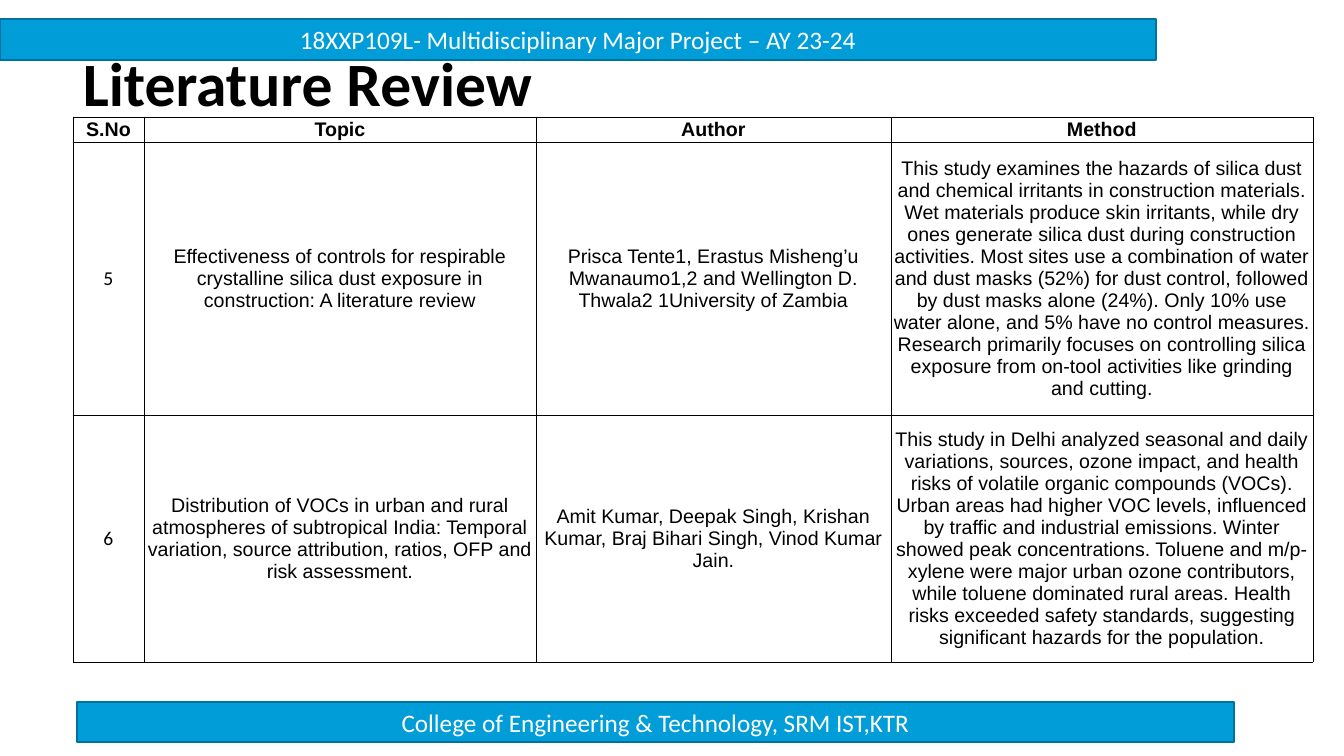
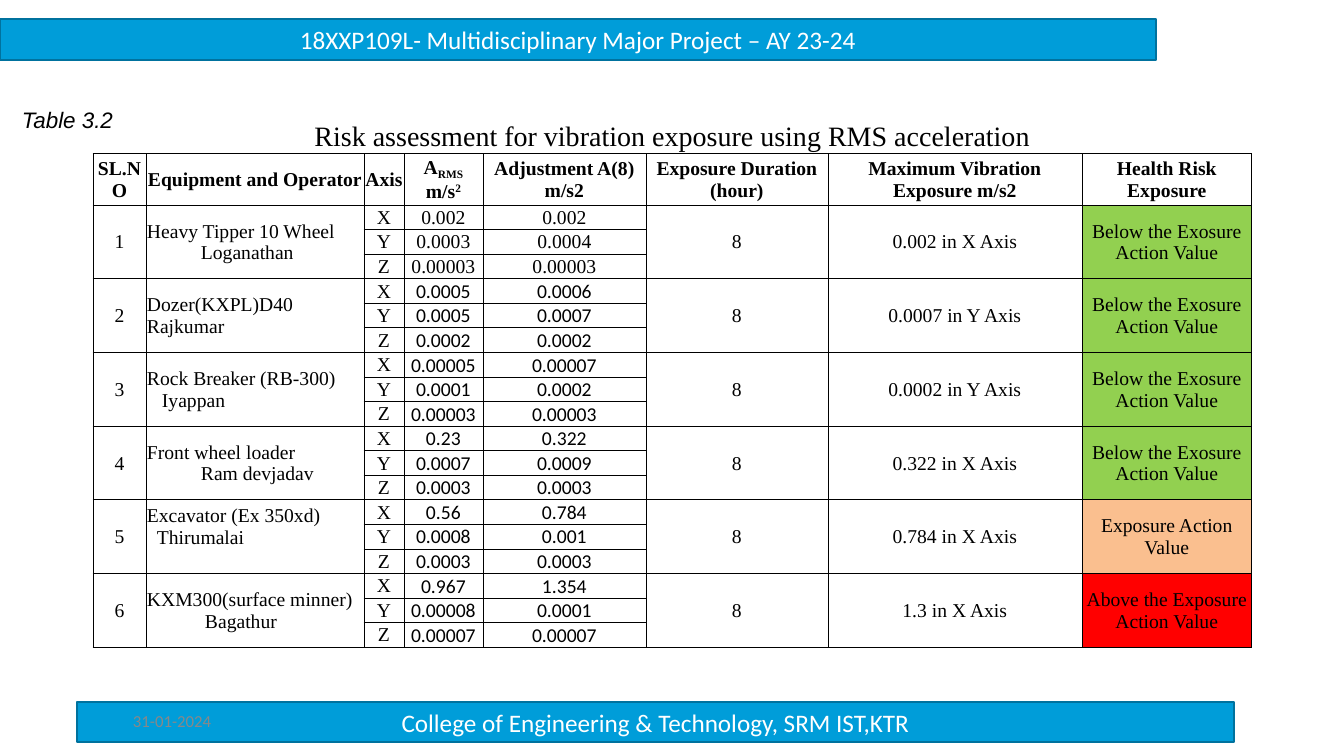
"""Build two project slides: a literature review and a vibration risk table."""
from lxml import etree
from pptx import Presentation
from pptx.dml.color import RGBColor
from pptx.enum.shapes import MSO_SHAPE
from pptx.enum.text import MSO_ANCHOR, PP_ALIGN
from pptx.oxml.ns import qn
from pptx.util import Pt

RECTANGLE = MSO_SHAPE.RECTANGLE
TOP, MIDDLE = MSO_ANCHOR.TOP, MSO_ANCHOR.MIDDLE
LEFT, CENTER = PP_ALIGN.LEFT, PP_ALIGN.CENTER
SCALE = 914400 / 100.8
SLIDE_SIZE = (1344, 756)

BLUE = RGBColor(0x00, 0x9D, 0xD9)
DARK_BLUE = RGBColor(0x00, 0x72, 0x9E)
WHITE = RGBColor(0xFF, 0xFF, 0xFF)
BLACK = RGBColor(0x00, 0x00, 0x00)
GREY = RGBColor(0x88, 0x88, 0x88)
GREEN = RGBColor(0x92, 0xD0, 0x50)
ORANGE = RGBColor(0xFA, 0xBF, 0x8F)
RED = RGBColor(0xFF, 0x00, 0x00)

SANS, BODY, SERIF = "Arial", "Calibri", "Times New Roman"
ALL_SIDES = ("lnL", "lnR", "lnT", "lnB")

BANDS = [
    ("College of Engineering & Technology, SRM IST,KTR", (77, 702, 1157, 40)),
    ("18XXP109L- Multidisciplinary Major Project – AY 23-24", (0, 19, 1156, 41)),
]

REVIEW_PLACE = (73, 117)
REVIEW_COLUMNS = [71, 392, 355, 422]
REVIEW_ROWS = [25, 273, 247]
REVIEW = [
    ("S.No", "Topic", "Author", "Method"),
    ("5",
     "Effectiveness of controls for respirable crystalline silica dust exposure in "
     "construction: A literature review",
     "Prisca Tente1, Erastus Misheng’u Mwanaumo1,2 and Wellington D. Thwala2 "
     "1University of Zambia",
     "This study examines the hazards of silica dust and chemical irritants in "
     "construction materials. Wet materials produce skin irritants, while dry ones "
     "generate silica dust during construction activities. Most sites use a combination "
     "of water and dust masks (52%) for dust control, followed by dust masks alone (24%). "
     "Only 10% use water alone, and 5% have no control measures. Research primarily "
     "focuses on controlling silica exposure from on-tool activities like grinding and "
     "cutting."),
    ("6",
     "Distribution of VOCs in urban and rural atmospheres of subtropical India: Temporal "
     "variation, source attribution, ratios, OFP and risk assessment.",
     "Amit Kumar, Deepak Singh, Krishan Kumar, Braj Bihari Singh, Vinod Kumar Jain.",
     "This study in Delhi analyzed seasonal and daily variations, sources, ozone impact, "
     "and health risks of volatile organic compounds (VOCs). Urban areas had higher VOC "
     "levels, influenced by traffic and industrial emissions. Winter showed peak "
     "concentrations. Toluene and m/p-xylene were major urban ozone contributors, while "
     "toluene dominated rural areas. Health risks exceeded safety standards, suggesting "
     "significant hazards for the population."),
]

RISK_PLACE = (93, 119)
RISK_COLUMNS = [53, 218, 40, 79, 163, 182, 254, 170]
CAPTION_HEIGHT, HEADER_HEIGHT, AXIS_HEIGHT = 34, 51, 24
RISK_CAPTION = "Risk assessment for vibration exposure using RMS acceleration"
RMS_COLUMN = 3
RMS_HEADER = [("A", 0), ("RMS", -25000), (" m/s", 0), ("2", 30000)]
RISK_HEADERS = ["SL.NO", "Equipment and Operator", "Axis", "", "Adjustment A(8) m/s2",
                "Exposure Duration (hour)", "Maximum Vibration Exposure m/s2",
                "Health Risk Exposure"]
AXES = "XYZ"
HOURS = "8"
BELOW = ("Below the Exosure Action Value", GREEN)
ACTION = ("Exposure Action Value", ORANGE)
ABOVE = ("Above the Exposure Action Value", RED)
MACHINES = [
    dict(name="Heavy Tipper 10 Wheel", operator="Loganathan", indent=54, font=SERIF,
         rms=("0.002", "0.0003", "0.00003"), adjusted=("0.002", "0.0004", "0.00003"),
         peak="0.002 in X Axis", risk=BELOW),
    dict(name="Dozer(KXPL)D40", operator="Rajkumar", indent=0, font=BODY,
         rms=("0.0005", "0.0005", "0.0002"), adjusted=("0.0006", "0.0007", "0.0002"),
         peak="0.0007 in Y Axis", risk=BELOW),
    dict(name="Rock Breaker (RB-300)", operator="Iyappan", indent=15, font=BODY,
         rms=("0.00005", "0.0001", "0.00003"), adjusted=("0.00007", "0.0002", "0.00003"),
         peak="0.0002 in Y Axis", risk=BELOW),
    dict(name="Front wheel loader", operator="Ram devjadav", indent=54, font=BODY,
         rms=("0.23", "0.0007", "0.0003"), adjusted=("0.322", "0.0009", "0.0003"),
         peak="0.322 in X Axis", risk=BELOW),
    dict(name="Excavator (Ex 350xd)", operator="Thirumalai", indent=10, font=BODY, lift=20,
         rms=("0.56", "0.0008", "0.0003"), adjusted=("0.784", "0.001", "0.0003"),
         peak="0.784 in X Axis", risk=ACTION),
    dict(name="KXM300(surface minner)", operator="Bagathur", indent=58, font=BODY,
         rms=("0.967", "0.00008", "0.00007"), adjusted=("1.354", "0.0001", "0.00007"),
         peak="1.3 in X Axis", risk=ABOVE),
]


def px(length):
    return round(length * SCALE)


def format_text(frame, font, size, color=BLACK, bold=False, italic=False, align=LEFT):
    for para in frame.paragraphs:
        para.alignment = align
        for span in para.runs:
            span.font.name = font
            span.font.size = Pt(size)
            span.font.bold = bold
            span.font.italic = italic
            span.font.color.rgb = color


def add_text(page, text, place, anchor=MIDDLE, **style):
    frame = page.shapes.add_textbox(*map(px, place)).text_frame
    frame.word_wrap = True
    frame.vertical_anchor = anchor
    frame.text = text
    format_text(frame, **style)
    return frame


def add_page(deck):
    page = deck.slides.add_slide(deck.slide_layouts[6])
    for text, place in BANDS:
        band = page.shapes.add_shape(RECTANGLE, *map(px, place))
        band.shadow.inherit = False
        band.fill.solid()
        band.fill.fore_color.rgb = BLUE
        band.line.color.rgb = DARK_BLUE
        band.line.width = Pt(1)
        frame = band.text_frame
        frame.word_wrap = True
        frame.vertical_anchor = MIDDLE
        frame.text = text
        format_text(frame, BODY, 18, WHITE, align=CENTER)
    return page


def set_borders(cell, visible):
    properties = cell._tc.get_or_add_tcPr()
    for side in ALL_SIDES:
        line = etree.SubElement(properties, qn(f"a:{side}"), w=str(Pt(0.5)))
        if side in visible:
            fill = etree.SubElement(line, qn("a:solidFill"))
            etree.SubElement(fill, qn("a:srgbClr"), val=str(BLACK))
        else:
            etree.SubElement(line, qn("a:noFill"))


def add_grid(page, place, widths, heights, caption=False):
    size = (sum(widths), sum(heights))
    table = page.shapes.add_table(len(heights), len(widths), *map(px, place + size)).table
    table.first_row = table.horz_banding = False
    for column, width in zip(table.columns, widths):
        column.width = px(width)
    for index, (row, height) in enumerate(zip(table.rows, heights)):
        row.height = px(height)
        for cell in row.cells:
            cell.margin_left = cell.margin_right = cell.margin_top = px(1)
            cell.margin_bottom = 0
            cell.vertical_anchor = MIDDLE
            set_borders(cell, ("lnB",) if caption and index == 0 else ALL_SIDES)
            cell.fill.background()
    return table


def fill_cell(cell, text, font=SERIF, size=14, bold=False, align=CENTER):
    cell.text_frame.text = text
    format_text(cell.text_frame, font, size, bold=bold, align=align)


def build_review(deck):
    page = add_page(deck)
    title = add_text(page, "Literature Review", (73, 14, 1159, 146),
                     font=BODY, size=44, bold=True)
    title.paragraphs[0].line_spacing = 0.9
    table = add_grid(page, REVIEW_PLACE, REVIEW_COLUMNS, REVIEW_ROWS)
    for row, texts in enumerate(REVIEW):
        for column, text in enumerate(texts):
            font = BODY if row and column == 0 else SANS
            fill_cell(table.cell(row, column), text, font, bold=row == 0)


def fill_rms_header(cell):
    para = cell.text_frame.paragraphs[0]
    for text, baseline in RMS_HEADER:
        span = para.add_run()
        span.text = text
        if baseline:
            span._r.get_or_add_rPr().set("baseline", str(baseline))
    format_text(cell.text_frame, SERIF, 14, bold=True, align=CENTER)


def fill_machine(table, number, machine):
    top = 2 + (number - 1) * len(AXES)
    risk, color = machine["risk"]
    equipment = f"{machine['name']}\n{machine['operator']}"
    merged = {0: str(number), 1: equipment, 5: HOURS, 6: machine["peak"], 7: risk}
    for column, text in merged.items():
        cell = table.cell(top, column)
        cell.merge(table.cell(top + len(AXES) - 1, column))
        fill_cell(cell, text, align=LEFT if column == 1 else CENTER)
    cell = table.cell(top, 1)
    cell.margin_bottom = px(machine.get("lift", 0))
    operator = cell.text_frame.paragraphs[1]
    operator._p.get_or_add_pPr().set("marL", str(px(machine["indent"])))
    risk_fill = table.cell(top, 7).fill
    risk_fill.solid()
    risk_fill.fore_color.rgb = color
    readings = zip(AXES, machine["rms"], machine["adjusted"])
    for row, (axis, rms, adjusted) in enumerate(readings, top):
        fill_cell(table.cell(row, 2), axis)
        fill_cell(table.cell(row, 3), rms, machine["font"])
        fill_cell(table.cell(row, 4), adjusted, machine["font"])


def build_risk(deck):
    page = add_page(deck)
    add_text(page, "31-01-2024", (123, 701, 403, 40), font=BODY, size=12, color=GREY)
    heights = [CAPTION_HEIGHT, HEADER_HEIGHT] + [AXIS_HEIGHT] * len(AXES) * len(MACHINES)
    table = add_grid(page, RISK_PLACE, RISK_COLUMNS, heights, caption=True)
    table.cell(0, 0).merge(table.cell(0, len(RISK_COLUMNS) - 1))
    fill_cell(table.cell(0, 0), RISK_CAPTION, size=20)
    for column, text in enumerate(RISK_HEADERS):
        if column == RMS_COLUMN:
            fill_rms_header(table.cell(1, column))
        else:
            fill_cell(table.cell(1, column), text, bold=True)
    for number, machine in enumerate(MACHINES, 1):
        fill_machine(table, number, machine)
    add_text(page, "Table 3.2", (12, 101, 185, 37), TOP, font=SANS, size=16, italic=True)


def main():
    deck = Presentation()
    deck.slide_width, deck.slide_height = map(px, SLIDE_SIZE)
    build_review(deck)
    build_risk(deck)
    deck.save("out.pptx")


if __name__ == "__main__":
    main()
